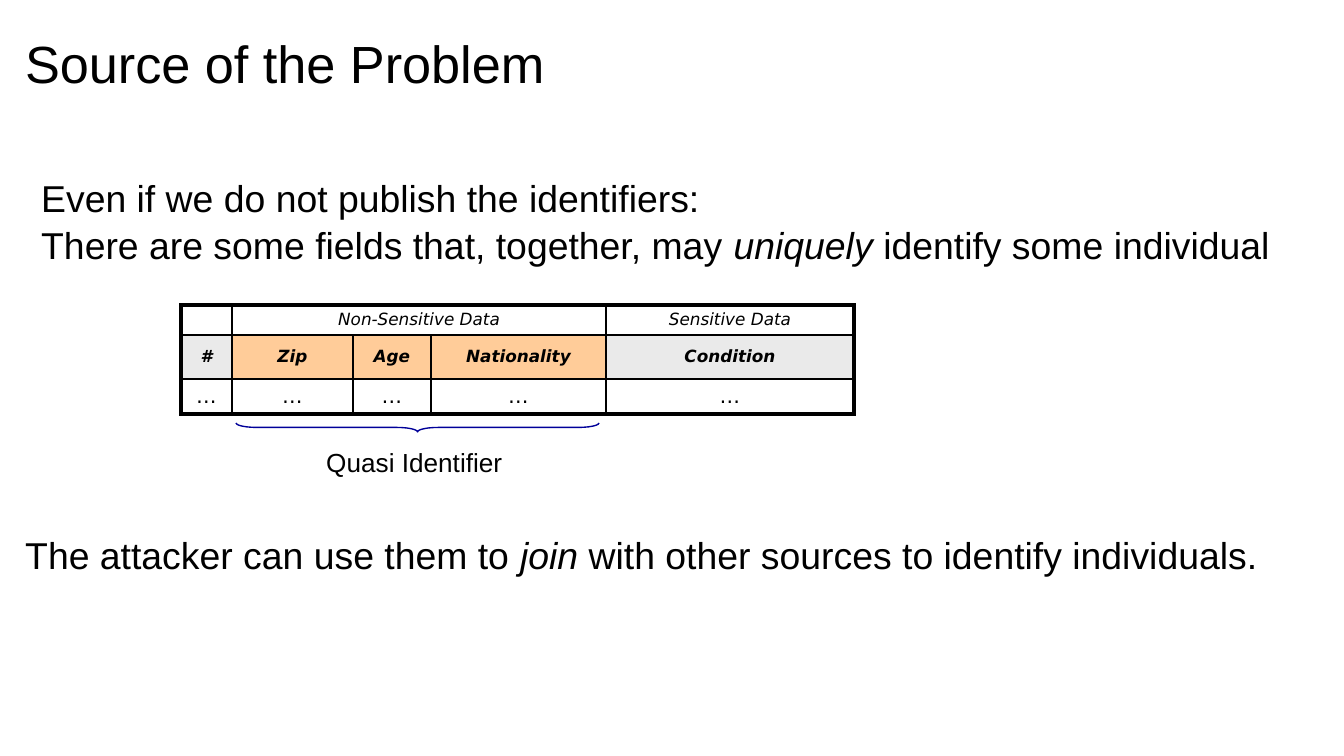
import lxml.etree
import pptx
import pptx.dml.color
import pptx.enum.shapes
import pptx.enum.text
import pptx.oxml.ns
import pptx.util

PX = 914400 / 134.4
BLACK = pptx.dml.color.RGBColor(0x00, 0x00, 0x00)
NAVY = pptx.dml.color.RGBColor(0x00, 0x00, 0x99)
ORANGE = pptx.dml.color.RGBColor(0xFF, 0xCC, 0x99)
GRAY = pptx.dml.color.RGBColor(0xEA, 0xEA, 0xEA)

COLUMNS = [51, 121, 78, 175, 248]
ROWS = [30, 44, 34]
HEADINGS = [
    ["", "Non-Sensitive Data", "", "", "Sensitive Data"],
    ["#", "Zip", "Age", "Nationality", "Condition"],
    ["…"] * 5,
]
ROW_FONTS = [(9, False, True), (9, True, True), (11, False, False)]
FIELD_FILLS = [GRAY, ORANGE, ORANGE, ORANGE, GRAY]


def px(length):
    return pptx.util.Emu(round(length * PX))


def place(shape, *box):
    shape.left, shape.top, shape.width, shape.height = map(px, box)


def style(paragraph, size, name="Arial", bold=False, italic=None):
    font = paragraph.font
    font.size = pptx.util.Pt(size)
    font.name = name
    font.bold = bold
    font.italic = italic
    font.color.rgb = BLACK


def add_title(slide, text):
    title = slide.shapes.title
    place(title, 12, 15, 1253, 85)
    frame = title.text_frame
    frame.text = text
    frame.vertical_anchor = pptx.enum.text.MSO_ANCHOR.TOP
    frame.auto_size = pptx.enum.text.MSO_AUTO_SIZE.NONE
    frame.margin_left = frame.margin_top = px(13)
    frame.margin_right = frame.margin_bottom = px(13)
    heading = frame.paragraphs[0]
    heading.alignment = pptx.enum.text.PP_ALIGN.LEFT
    heading.line_spacing = 1.05
    style(heading, 28)


def add_text(slide, box, size, lines, wrap=False):
    frame = slide.shapes.add_textbox(*map(px, box)).text_frame
    frame.word_wrap = wrap
    for index, line in enumerate(lines):
        paragraph = frame.add_paragraph() if index else frame.paragraphs[0]
        paragraph.line_spacing = 1.05
        style(paragraph, size)
        for position, part in enumerate(line):
            run = paragraph.add_run()
            run.text = part
            if position % 2:
                run.font.italic = True


def add_border(cell, side, points):
    line = lxml.etree.SubElement(
        cell._tc.get_or_add_tcPr(),
        pptx.oxml.ns.qn("a:ln" + side),
        w=str(pptx.util.Pt(points)),
    )
    fill = lxml.etree.SubElement(line, pptx.oxml.ns.qn("a:solidFill"))
    lxml.etree.SubElement(fill, pptx.oxml.ns.qn("a:srgbClr"), val=str(BLACK))


def fill_cell(cell, row, column):
    outer = {
        "L": column == 0,
        "R": column == len(COLUMNS) - 1,
        "T": row == 0,
        "B": row == len(ROWS) - 1,
    }
    for side, is_outer in outer.items():
        add_border(cell, side, 2.25 if is_outer else 1)
    if row == 1:
        cell.fill.solid()
        cell.fill.fore_color.rgb = FIELD_FILLS[column]
    else:
        cell.fill.background()
    cell.vertical_anchor = pptx.enum.text.MSO_ANCHOR.MIDDLE
    cell.margin_left = cell.margin_right = px(13)
    cell.margin_top = cell.margin_bottom = px(5)
    paragraph = cell.text_frame.paragraphs[0]
    paragraph.alignment = pptx.enum.text.PP_ALIGN.CENTER
    size, bold, italic = ROW_FONTS[row]
    style(paragraph, size, "DejaVu Sans", bold, italic)
    if HEADINGS[row][column]:
        paragraph.add_run().text = HEADINGS[row][column]
    else:
        lxml.etree.SubElement(
            paragraph._p, pptx.oxml.ns.qn("a:endParaRPr"), sz=str(size * 100)
        )


def add_fields_table(slide):
    box = (181, 305, sum(COLUMNS), sum(ROWS))
    fields = slide.shapes.add_table(len(ROWS), len(COLUMNS), *map(px, box)).table
    fields.first_row = fields.horz_banding = False
    for column, width in zip(fields.columns, COLUMNS):
        column.width = px(width)
    for row, height in enumerate(ROWS):
        fields.rows[row].height = px(height)
        for column in range(len(COLUMNS)):
            fill_cell(fields.cell(row, column), row, column)
    fields.cell(0, 1).merge(fields.cell(0, 3))


def add_brace(slide, *box):
    brace = slide.shapes.add_shape(
        pptx.enum.shapes.MSO_SHAPE.RIGHT_BRACE, *map(px, box)
    )
    brace.rotation = 90
    brace.adjustments[0] = 2.32
    brace.adjustments[1] = 0.5
    brace.shadow.inherit = False
    brace.fill.background()
    brace.line.color.rgb = NAVY
    brace.line.width = pptx.util.Pt(0.75)


def main():
    deck = pptx.Presentation()
    deck.slide_width, deck.slide_height = px(1344), px(756)
    slide = deck.slides.add_slide(deck.slide_layouts[5])
    add_title(slide, "Source of the Problem")
    add_text(slide, (28, 166, 1257, 149), 20, [
        ["Even if we do not publish the identifiers:"],
        ["There are some fields that, together, may ", "uniquely",
         " identify some individual"],
    ])
    add_text(slide, (12, 523, 1285, 59), 20, [
        ["The attacker can use them to ", "join",
         " with other sources to identify individuals."],
    ], wrap=True)
    add_fields_table(slide)
    add_brace(slide, 413, 246, 9, 363)
    add_text(slide, (313, 438, 204, 46), 14, [["Quasi Identifier"]])
    deck.save("out.pptx")


if __name__ == "__main__":
    main()
